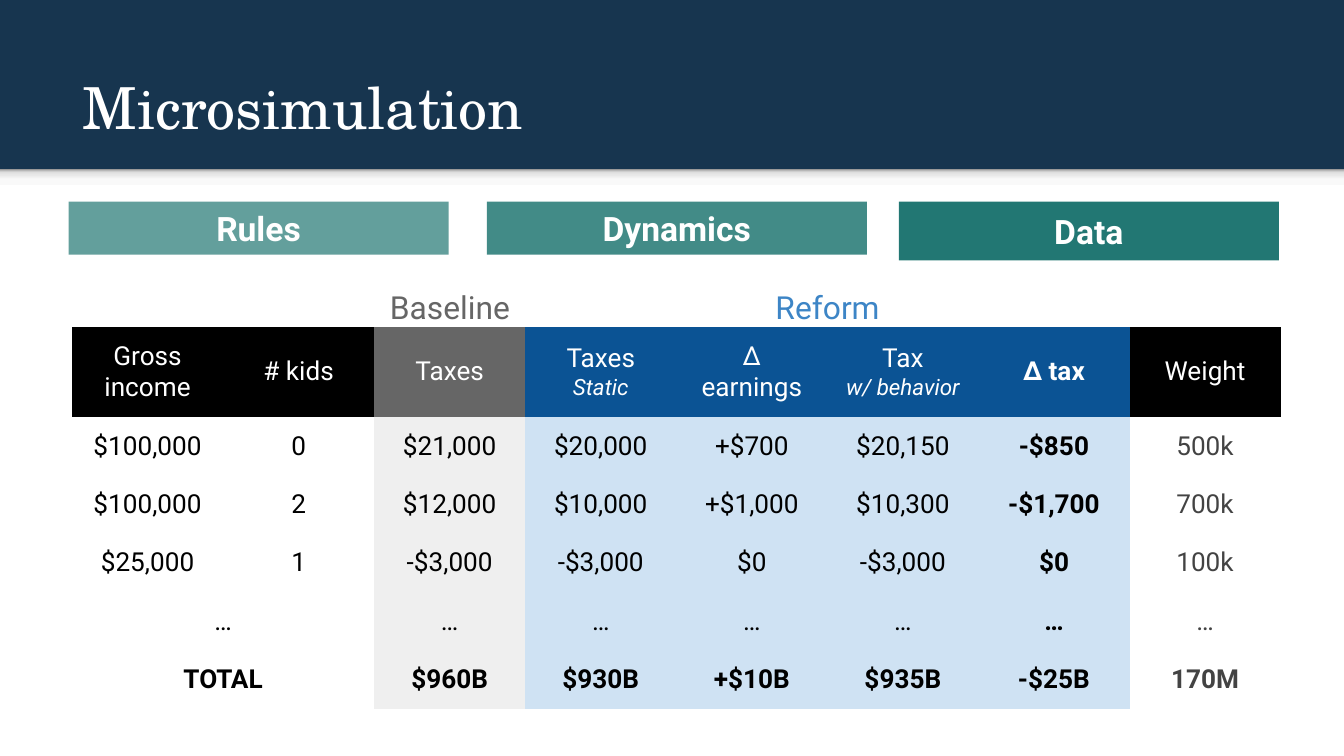
from lxml import etree
from pptx import Presentation
from pptx.dml.color import RGBColor
from pptx.enum import shapes, text
from pptx.oxml.ns import qn
from pptx.util import Pt

BODY_FONT = "Roboto"
TITLE_FONT = "TeX Gyre Schola"
NAVY, TEAL, WHITE, BLACK = "17354F", "227773", "FFFFFF", "000000"
DARK_GRAY, LIGHT_GRAY, WEIGHT_GRAY = "666666", "EFEFEF", "434343"
DARK_BLUE, PALE_BLUE, REFORM_BLUE = "0B5394", "CFE2F3", "3D85C6"
NO_GRID_STYLE = "{2D5ABB26-0587-4C30-8999-92F81FD0307C}"

COLUMN_WIDTH, HEADER_HEIGHT, ROW_HEIGHT = 80.95, 48.2, 31.2
HEADER_FILLS = [BLACK] * 2 + [DARK_GRAY] + [DARK_BLUE] * 4 + [BLACK]
BODY_FILLS = [None] * 2 + [LIGHT_GRAY] + [PALE_BLUE] * 4 + [None]
DELTA_TAX, WEIGHT = 6, 7
HEADERS = ["Gross income", "# kids", "Taxes", "Taxes ", "Δ earnings",
           "Tax\v", "Δ tax", "Weight"]
SUBHEADERS = {3: "Static", 5: "w/ behavior"}
HOUSEHOLDS = [
    ["$100,000", "0", "$21,000", "$20,000", "+$700", "$20,150", "-$850", "500k"],
    ["$100,000", "2", "$12,000", "$10,000", "+$1,000", "$10,300", "-$1,700", "700k"],
    ["$25,000", "1", "-$3,000", "-$3,000", "$0", "-$3,000", "$0", "100k"],
    ["…", "", "…", "…", "…", "…", "…", "…"],
    ["TOTAL", "", "$960B", "$930B", "+$10B", "$935B", "-$25B", "170M"],
]


def color(value):
    return RGBColor.from_string(value)


def set_fill(fill, value):
    if value is None:
        fill.background()
    else:
        fill.solid()
        fill.fore_color.rgb = color(value)


def add_run(paragraph, content, value, **formats):
    """Add one run; a trailing vertical tab becomes a line break."""
    run = paragraph.add_run()
    run.text = content.rstrip("\v")
    if content.endswith("\v"):
        paragraph.add_line_break()
    for name, setting in {"name": BODY_FONT, "size": Pt(14), **formats}.items():
        setattr(run.font, name, setting)
    run.font.color.rgb = color(value)


def set_margins(box):
    for side in ("left", "right", "top", "bottom"):
        setattr(box, f"margin_{side}", Pt(7.2))


def prepare_frame(frame, anchor):
    set_margins(frame)
    frame.word_wrap = True
    frame.vertical_anchor = anchor
    return frame.paragraphs[0]


def add_rectangle(slide, left, top, width, height, fill=None):
    shape = slide.shapes.add_shape(
        shapes.MSO_SHAPE.RECTANGLE, Pt(left), Pt(top), Pt(width), Pt(height))
    shape.shadow.inherit = False
    shape.line.fill.background()
    set_fill(shape.fill, fill)
    return shape


def add_header_shadow(slide):
    shape = add_rectangle(slide, 0, 90.6, 720, 8.6)
    shape.fill.gradient()
    shape.fill.gradient_angle = 90
    stops = shape.element.spPr.find(".//" + qn("a:gsLst"))
    for stop in list(stops):
        stops.remove(stop)
    for percent, value in ((0, "F9F9F9"), (36, "F9F9F9"), (80, "DEDEDE"), (100, "999999")):
        stop = etree.SubElement(stops, qn("a:gs"), pos=str(percent * 1000))
        etree.SubElement(stop, qn("a:srgbClr"), val=value)


def add_label(slide, content, left, top, width, height, value,
              anchor=text.MSO_ANCHOR.TOP, align=text.PP_ALIGN.CENTER,
              spacing=1.15, **formats):
    box = slide.shapes.add_textbox(Pt(left), Pt(top), Pt(width), Pt(height))
    paragraph = prepare_frame(box.text_frame, anchor)
    paragraph.alignment = align
    paragraph.line_spacing = spacing
    add_run(paragraph, content, value, **formats)


def add_banner(slide, content, left, height, opacity):
    shape = add_rectangle(slide, left, 108, 203.6, height, TEAL)
    if opacity < 100:
        teal = shape.element.spPr.find(".//" + qn("a:srgbClr"))
        etree.SubElement(teal, qn("a:alpha"), val=str(opacity * 1000))
    paragraph = prepare_frame(shape.text_frame, text.MSO_ANCHOR.MIDDLE)
    paragraph.alignment = text.PP_ALIGN.CENTER
    add_run(paragraph, content, WHITE, size=Pt(18), bold=True)


def prepare_cell(cell, fill):
    set_fill(cell.fill, fill)
    set_margins(cell)
    cell.vertical_anchor = text.MSO_ANCHOR.MIDDLE
    paragraph = cell.text_frame.paragraphs[0]
    paragraph.alignment = text.PP_ALIGN.CENTER
    return paragraph


def add_tax_table(slide):
    row_count, column_count = len(HOUSEHOLDS) + 1, len(HEADERS)
    frame = slide.shapes.add_table(
        row_count, column_count, Pt(38.6), Pt(175.2),
        Pt(COLUMN_WIDTH * column_count),
        Pt(HEADER_HEIGHT + ROW_HEIGHT * len(HOUSEHOLDS)))
    table = frame.table
    table.first_row = table.horz_banding = False
    frame.element.find(".//" + qn("a:tableStyleId")).text = NO_GRID_STYLE
    for column in table.columns:
        column.width = Pt(COLUMN_WIDTH)
    for index, row in enumerate(table.rows):
        row.height = Pt(ROW_HEIGHT if index else HEADER_HEIGHT)

    for column, header in enumerate(HEADERS):
        paragraph = prepare_cell(table.cell(0, column), HEADER_FILLS[column])
        add_run(paragraph, header, WHITE, bold=column == DELTA_TAX)
        if column in SUBHEADERS:
            add_run(paragraph, SUBHEADERS[column], WHITE, size=Pt(12), italic=True)

    for row, values in enumerate(HOUSEHOLDS, 1):
        is_total = row == len(HOUSEHOLDS)
        for column, value in enumerate(values):
            paragraph = prepare_cell(table.cell(row, column), BODY_FILLS[column])
            if value:
                add_run(paragraph, value, WEIGHT_GRAY if column == WEIGHT else BLACK,
                        bold=is_total or column == DELTA_TAX)
            else:
                table.cell(row, column - 1).merge(table.cell(row, column))


def main():
    presentation = Presentation()
    presentation.slide_width, presentation.slide_height = Pt(720), Pt(405)
    slide = presentation.slides.add_slide(presentation.slide_layouts[6])
    set_fill(slide.background.fill, NAVY)
    add_rectangle(slide, 0, 96, 720, 309, WHITE)
    add_header_shadow(slide)
    add_label(slide, "Baseline", 200.8, 144, 80.6, 31.7, DARK_GRAY, size=Pt(17))
    add_label(slide, "Microsimulation", 37.3, 22.3, 647.3, 60.5, WHITE,
              anchor=text.MSO_ANCHOR.BOTTOM, align=text.PP_ALIGN.LEFT,
              spacing=1, name=TITLE_FONT, size=Pt(31))
    add_tax_table(slide)
    add_label(slide, "Reform", 281.4, 144, 324, 31.7, REFORM_BLUE, size=Pt(17))
    for banner in (("Rules", 36.7, 28.5, 70), ("Dynamics", 260.8, 28.5, 85),
                   ("Data", 481.5, 31.5, 100)):
        add_banner(slide, *banner)
    presentation.save("out.pptx")


if __name__ == "__main__":
    main()
